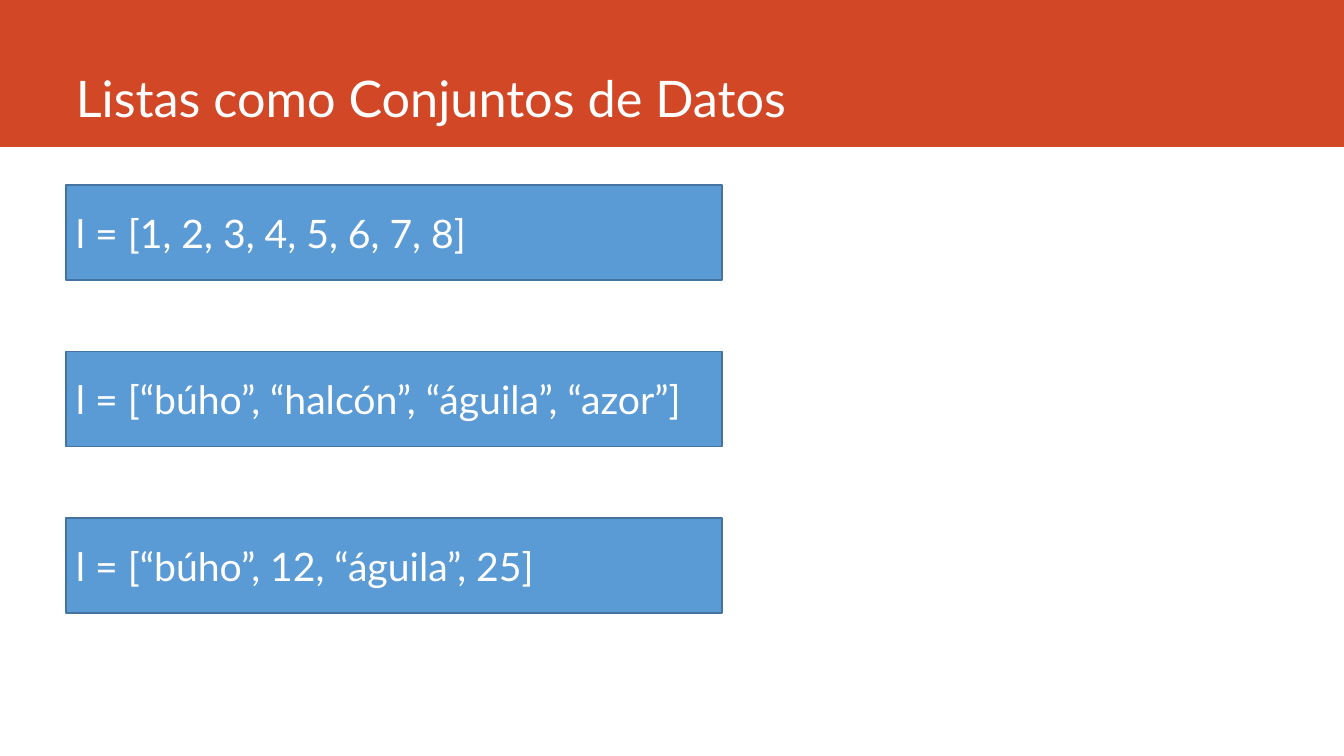
from pptx import Presentation
from pptx.dml.color import RGBColor
from pptx.enum.shapes import MSO_SHAPE
from pptx.enum.text import MSO_ANCHOR, PP_ALIGN
from pptx.util import Pt

RECTANGLE = MSO_SHAPE.RECTANGLE
MIDDLE = MSO_ANCHOR.MIDDLE
BOTTOM = MSO_ANCHOR.BOTTOM
LEFT = PP_ALIGN.LEFT

EMU_PER_PIXEL = 914400 / 100.8
SLIDE_WIDTH, SLIDE_HEIGHT = 1344, 756
MARGIN = 66
FONT = "Lato"
WHITE = "FFFFFF"
BAND_RED = "D24726"
BOX_BLUE = "5B9BD5"
BOX_BORDER = "43739E"

LISTS = [
    "l = [1, 2, 3, 4, 5, 6, 7, 8]",
    "l = [“búho”, “halcón”, “águila”, “azor”]",
    "l = [“búho”, 12, “águila”, 25]",
]
FIRST_LIST_TOP = 185
LIST_PITCH = 166.5
LIST_WIDTH, LIST_HEIGHT = 656, 95


def px(length):
    return round(length * EMU_PER_PIXEL)


def color(hex_string):
    return RGBColor.from_string(hex_string)


def write_text(frame, text, size, anchor):
    frame.word_wrap = True
    frame.vertical_anchor = anchor
    paragraph = frame.paragraphs[0]
    paragraph.alignment = LEFT
    run = paragraph.add_run()
    run.text = text
    run.font.name = FONT
    run.font.size = Pt(size)
    run.font.color.rgb = color(WHITE)


def add_rectangle(slide, left, top, width, height, fill, border=None):
    rectangle = slide.shapes.add_shape(
        RECTANGLE, px(left), px(top), px(width), px(height)
    )
    rectangle.shadow.inherit = False
    rectangle.fill.solid()
    rectangle.fill.fore_color.rgb = color(fill)
    if border:
        rectangle.line.color.rgb = color(border)
        rectangle.line.width = Pt(1)
    else:
        rectangle.line.fill.background()
    return rectangle


def add_title(slide, text):
    add_rectangle(slide, 0, 0, SLIDE_WIDTH, 147, BAND_RED)
    title = slide.shapes.add_textbox(px(MARGIN), 0, px(1185), px(133))
    write_text(title.text_frame, text, 36, BOTTOM)


def add_list_box(slide, top, text):
    box = add_rectangle(
        slide, MARGIN, top, LIST_WIDTH, LIST_HEIGHT, BOX_BLUE, BOX_BORDER
    )
    write_text(box.text_frame, text, 28, MIDDLE)


def main():
    presentation = Presentation()
    presentation.slide_width = px(SLIDE_WIDTH)
    presentation.slide_height = px(SLIDE_HEIGHT)
    slide = presentation.slides.add_slide(presentation.slide_layouts[6])
    add_title(slide, "Listas como Conjuntos de Datos")
    for index, text in enumerate(LISTS):
        add_list_box(slide, FIRST_LIST_TOP + index * LIST_PITCH, text)
    presentation.save("out.pptx")


main()
